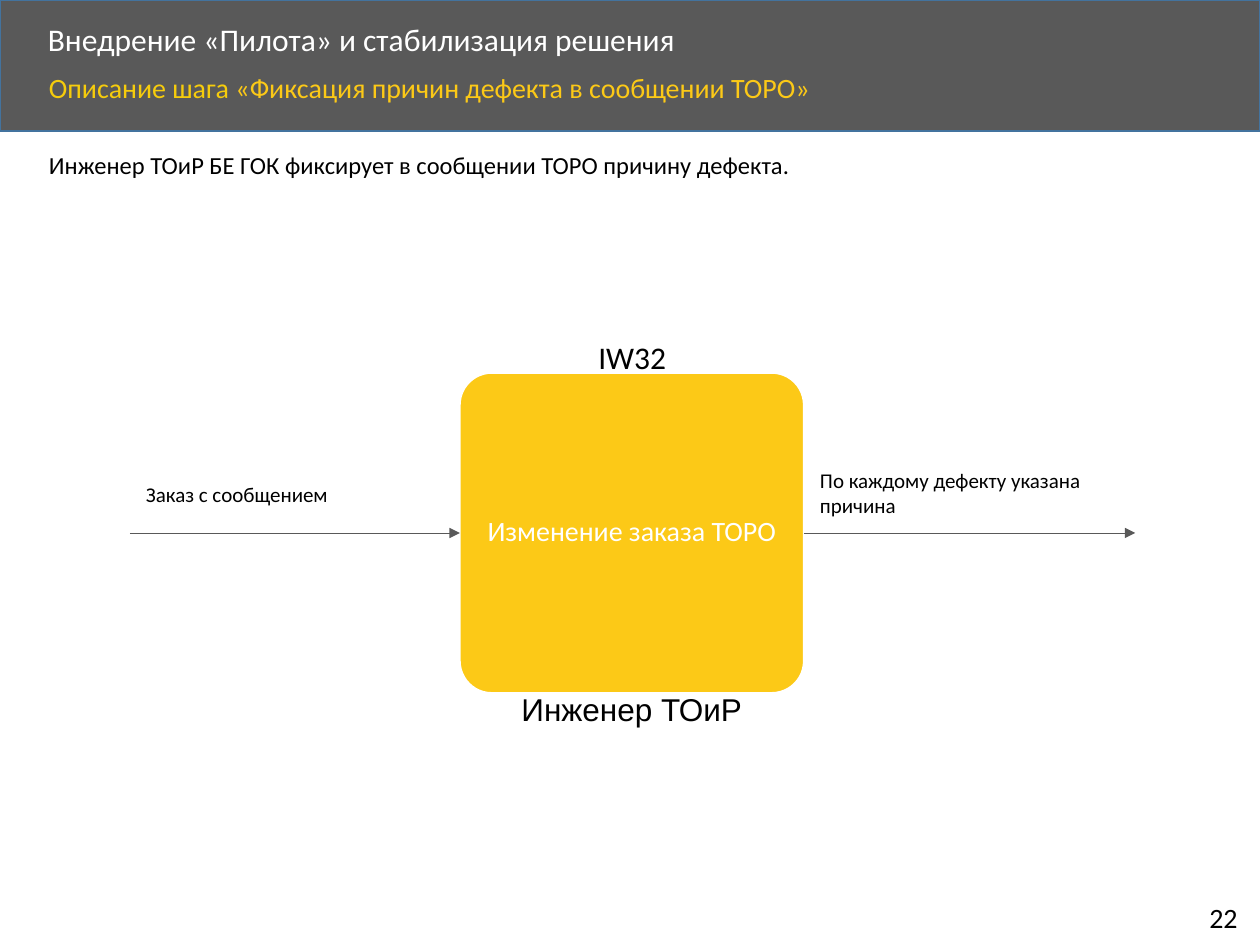
from dataclasses import dataclass

from lxml.etree import SubElement
from pptx import Presentation
from pptx.dml.color import RGBColor
from pptx.enum.shapes import MSO_CONNECTOR, MSO_SHAPE
from pptx.enum.text import MSO_ANCHOR, MSO_AUTO_SIZE, PP_ALIGN
from pptx.oxml.ns import qn
from pptx.util import Inches, Pt


@dataclass(frozen=True)
class Theme:
    band: RGBColor = RGBColor.from_string("595959")
    band_edge: RGBColor = RGBColor.from_string("43739E")
    accent: RGBColor = RGBColor.from_string("FCC917")
    accent_dark: RGBColor = RGBColor.from_string("F6CC0C")
    white: RGBColor = RGBColor.from_string("FFFFFF")
    black: RGBColor = RGBColor.from_string("000000")
    font: str = "Calibri"
    role_font: str = "Arial"
    heading: int = 18
    subheading: int = 16
    body: int = 14
    label: int = 12


theme = Theme()


def style(paragraph, size, color, font=theme.font):
    paragraph.font.name = font
    paragraph.font.size = Pt(size)
    paragraph.font.color.rgb = color


def add_text(left, top, width, height, text, size, font=theme.font, wrap=True):
    box = slide.shapes.add_textbox(Inches(left), Inches(top), Inches(width), Inches(height))
    box.text_frame.word_wrap = wrap
    paragraph = box.text_frame.paragraphs[0]
    paragraph.text = text
    style(paragraph, size, theme.black, font)
    return paragraph


prs = Presentation()
prs.slide_width, prs.slide_height = Inches(10), Inches(7.5)
slide = prs.slides.add_slide(prs.slide_layouts[5])

# Header band, kept behind the title
band = slide.shapes.add_shape(MSO_SHAPE.RECTANGLE, 0, 0, prs.slide_width, Inches(1.04))
band.shadow.inherit = False
band.fill.solid()
band.fill.fore_color.rgb = theme.band
band.line.color.rgb = theme.band_edge
band.line.width = Pt(1)
slide.shapes._spTree.insert(2, band._element)

title = slide.shapes.title
title.left, title.top = Inches(0.28), Inches(0.14)
title.width, title.height = Inches(8.07), Inches(0.38)
title.text_frame.text = "Внедрение «Пилота» и стабилизация решения"
title.text_frame.auto_size = MSO_AUTO_SIZE.NONE
title.text_frame.vertical_anchor = MSO_ANCHOR.MIDDLE
heading = title.text_frame.paragraphs[0]
heading.alignment = PP_ALIGN.LEFT
heading.line_spacing = 0.9
style(heading, theme.heading, theme.white)

step = add_text(0.29, 0.54, 8.65, 0.45, "Описание шага ", theme.subheading)
step.line_spacing = 0.9
step.runs[0].font.color.rgb = theme.accent_dark
step_name = step.add_run()
step_name.text = "«Фиксация причин дефекта в сообщении ТОРО»"
step_name.font.color.rgb = theme.accent

add_text(0.29, 1.14, 9.46, 0.34,
         "Инженер ТОиР БЕ ГОК фиксирует в сообщении ТОРО причину дефекта.", theme.body)

# Process step
operation = slide.shapes.add_shape(
    MSO_SHAPE.ROUNDED_RECTANGLE, Inches(3.65), Inches(2.96), Inches(2.73), Inches(2.54))
operation.adjustments[0] = 0.1
operation.shadow.inherit = False
operation.fill.solid()
operation.fill.fore_color.rgb = theme.accent
operation.line.color.rgb = theme.white
operation.line.width = Pt(1)
frame = operation.text_frame
frame.margin_left = frame.margin_right = frame.margin_top = frame.margin_bottom = Inches(0.01)
frame.word_wrap = True
frame.vertical_anchor = MSO_ANCHOR.MIDDLE
operation_name = frame.paragraphs[0]
operation_name.text = "Изменение заказа ТОРО"
operation_name.alignment = PP_ALIGN.CENTER
operation_name.line_spacing = 0.9
style(operation_name, theme.subheading, theme.white)

# Input and output arrows, level with the middle of the step
flow_y = operation.top + operation.height // 2
operation_right = operation.left + operation.width
arrows = []
for start, end in ((Inches(1.03), operation.left), (operation_right, Inches(9.01))):
    arrow = slide.shapes.add_connector(MSO_CONNECTOR.STRAIGHT, start, flow_y, end, flow_y)
    arrow.line.color.rgb = theme.band
    arrow.line.width = Pt(0.5)
    SubElement(arrow.line._get_or_add_ln(), qn("a:tailEnd"), type="triangle")
    SubElement(arrow._element.spPr, qn("a:effectLst"))
    arrows.append(arrow)
incoming, outgoing = arrows
incoming.end_connect(operation, 1)
outgoing.begin_connect(operation, 3)

add_text(4.65, 2.63, 0.75, 0.4, "IW32", theme.heading, wrap=False)
add_text(1.06, 3.77, 2.56, 0.3, "Заказ с сообщением", theme.label)
add_text(6.41, 3.66, 2.57, 0.5, "По каждому дефекту указана причина", theme.label)
add_text(4.04, 5.43, 1.97, 0.4, "Инженер ТОиР", theme.heading, font=theme.role_font)
add_text(9.5, 7.1, 0.46, 0.37, "22", theme.subheading, wrap=False)

prs.save("out.pptx")
